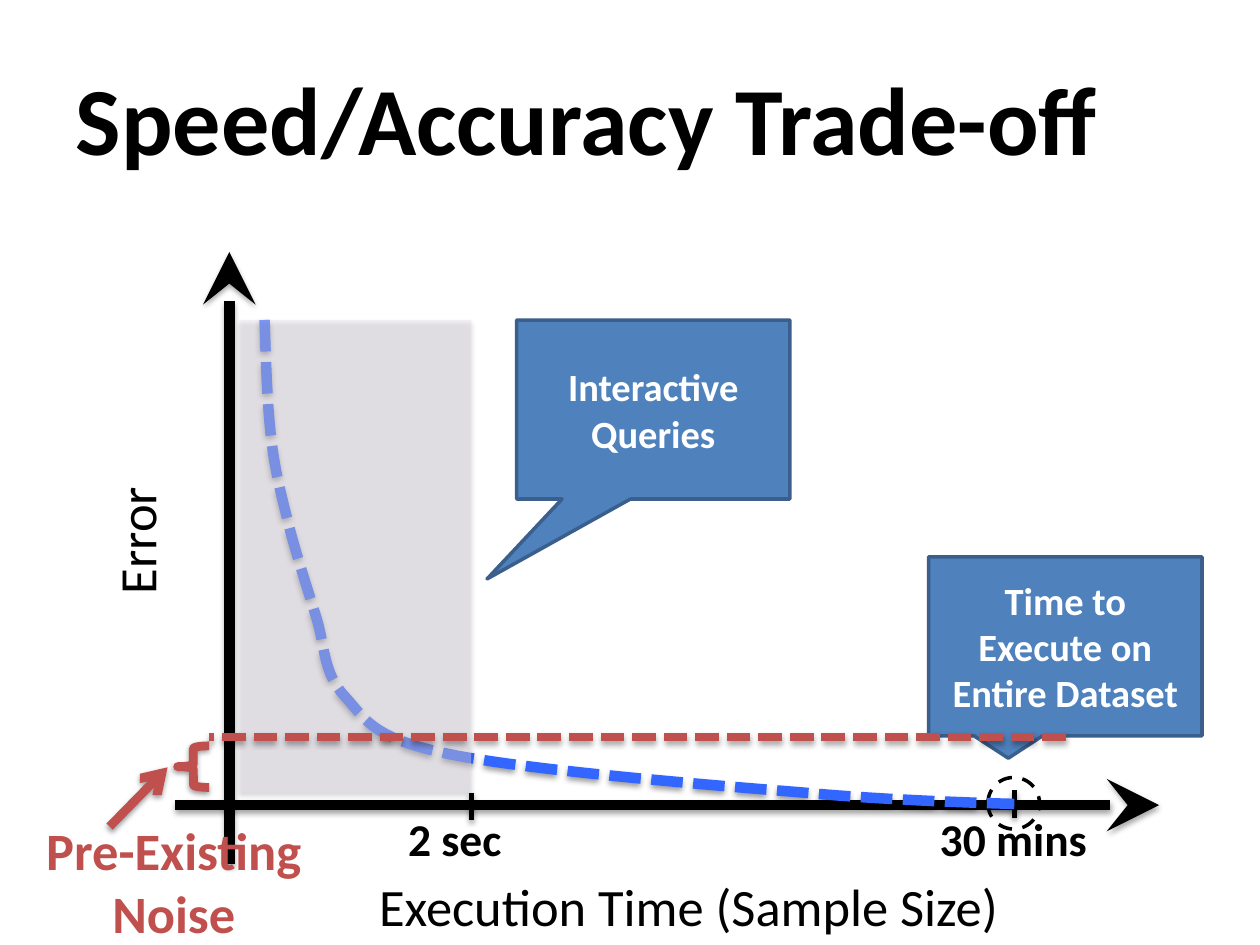
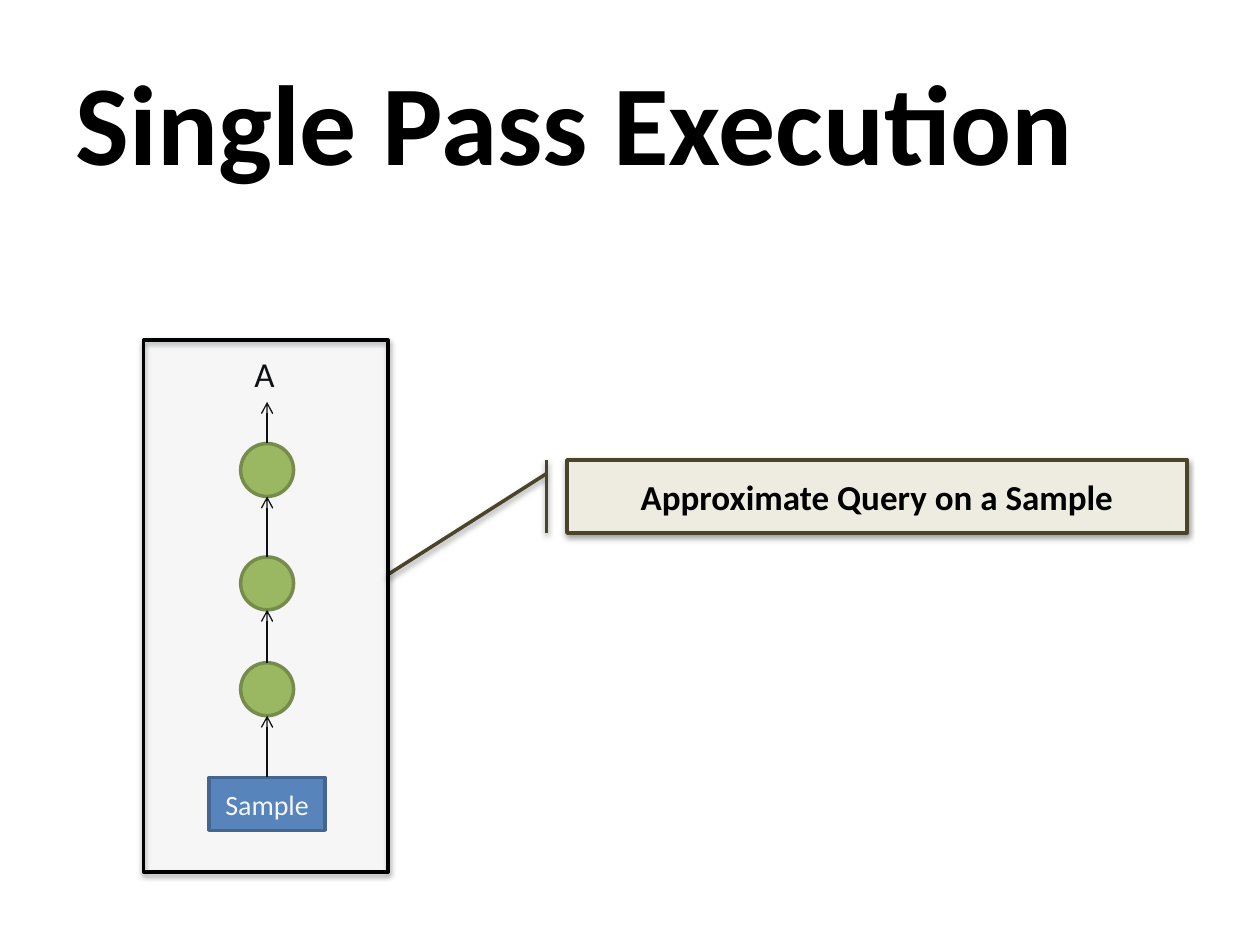
from dataclasses import dataclass
from lxml.etree import SubElement
from pptx import Presentation
from pptx.dml.color import RGBColor
from pptx.enum.dml import MSO_LINE
from pptx.enum.shapes import MSO_CONNECTOR, MSO_SHAPE
from pptx.enum.text import MSO_ANCHOR, MSO_AUTO_SIZE, PP_ALIGN
from pptx.oxml.ns import qn
from pptx.util import Inches, Pt


@dataclass(frozen=True)
class Theme:
    font: str = "Calibri"
    black: str = "000000"
    white: str = "FFFFFF"
    blue: str = "4F81BD"
    blue_edge: str = "3A5F8C"
    curve: str = "3366FF"
    red: str = "C0504D"
    lilac: str = "E6E0EC"
    green: str = "9BBB59"
    green_edge: str = "738A42"
    cream: str = "EEECE1"
    olive: str = "4A452A"
    ice: str = "DCE6F2"
    axis_size: int = 30
    tick_size: int = 26
    callout_size: int = 22
    label_size: int = 20
    node_size: int = 16


T = Theme()
# Shadows: opacity %, blur pt, distance pt
SOFT = (35, 3.1, 1.8)
FIRM = (38, 3.1, 1.6)
# Arrowheads: type, size
AXIS_HEAD = ("stealth", "lg")
ARROW_HEAD = ("arrow", "med")

# Slide 1 content
TRADEOFF_TITLE = ("Speed/Accuracy Trade-off", 55, (0.5, 0.3, 9.33, 1.25))
AXIS_X, AXIS_Y = 1.82, 6.39
AXES = [((1.39, AXIS_Y), (9.2, AXIS_Y)), ((AXIS_X, 6.86), (AXIS_X, 2))]
TICKS = [(3.74, 6.4), (8.05, 6.38)]  # centre of each tick mark
TICK_LENGTH = 0.22
CURVE_START = (2.1, 2.54)
CURVE = [  # two control points and an end point per segment
    ((2.11, 2.86), (2.12, 3.19), (2.15, 3.46)),
    ((2.18, 3.73), (2.23, 3.92), (2.29, 4.16)),
    ((2.35, 4.4), (2.44, 4.67), (2.51, 4.9)),
    ((2.58, 5.12), (2.56, 5.33), (2.73, 5.52)),
    ((2.9, 5.7), (2.93, 5.85), (3.54, 5.98)),
    ((4.15, 6.11), (5.62, 6.23), (6.37, 6.29)),
    ((7.12, 6.36), (8.05, 6.38), (8.05, 6.38)),
]
CALLOUT_W, CALLOUT_H = 2.17, 1.42
CALLOUTS = [
    (7.37, 4.42, ["Time to Execute on", "Entire Dataset"], None),
    (4.1, 2.54, ["Interactive", "Queries"], (-0.608, 0.947)),
]
GRAPH_LABELS = [  # lines, box, size, colour, bold, rotation
    (["Error"], (0.54, 3.97, 1.08, 0.61), T.axis_size, T.black, False, 270),
    (["30 mins"], (7.36, 6.39, 1.38, 0.54), T.tick_size, T.black, True, 0),
    (["2 sec"], (3.14, 6.39, 0.95, 0.54), T.tick_size, T.black, True, 0),
    (["Pre-Existing", "Noise"], (0.25, 6.44, 2.26, 1.06), T.axis_size, T.red, True, 0),
    (["Execution Time (Sample Size)"], (2.91, 6.89, 5.19, 0.61), T.axis_size, T.black, False, 0),
]

# Slide 2 content
SINGLE_TITLE = ("Single Pass Execution", 65, (0.5, 0.33, 9.25, 1.25))
FLOW_X = 2.12
SAMPLE_W, SAMPLE_H, SAMPLE_TOP = 0.92, 0.42, 6.17
NODE_D = 0.42
NODE_TOPS = [5.26, 4.42, 3.52]
ANSWER_BOX = (1.92, 2.75, 0.37, 0.44)


# Helpers
def rgb(value):
    return RGBColor.from_string(value)


def add_effect(sp, shadow=None):
    effects = SubElement(sp._element.spPr, qn("a:effectLst"))
    if shadow:
        alpha, blur, dist = shadow
        outer = SubElement(effects, qn("a:outerShdw"), blurRad=str(Pt(blur)),
                           dist=str(Pt(dist)), dir="5400000", rotWithShape="0")
        color = SubElement(outer, qn("a:srgbClr"), val=T.black)
        SubElement(color, qn("a:alpha"), val=str(alpha * 1000))


def style_line(line, color, width, dash=None):
    line.color.rgb = rgb(color)
    line.width = Pt(width)
    if dash is not None:
        line.dash_style = dash


def style_shape(sp, fill=None, line=None, opacity=None, shadow=None):
    if fill:
        sp.fill.solid()
        sp.fill.fore_color.rgb = rgb(fill)
        if opacity is not None:
            color = next(sp._element.spPr.iter(qn("a:srgbClr")))
            SubElement(color, qn("a:alpha"), val=str(opacity * 1000))
    else:
        sp.fill.background()
    if line:
        style_line(sp.line, *line)
    else:
        sp.line.fill.background()
    add_effect(sp, shadow)


def add_shape(slide, kind, box, adj=None, **style):
    sp = slide.shapes.add_shape(kind, *map(Inches, box))
    for i, value in enumerate(adj or ()):
        sp.adjustments[i] = value
    style_shape(sp, **style)
    return sp


def add_line(slide, start, end, line, head=None, shadow=None):
    sp = slide.shapes.add_connector(MSO_CONNECTOR.STRAIGHT, *map(Inches, (*start, *end)))
    style_line(sp.line, *line)
    if head:
        kind, size = head
        SubElement(sp.line._get_or_add_ln(), qn("a:tailEnd"), type=kind, w=size, len=size)
    add_effect(sp, shadow)
    return sp


def write(tf, lines, size, color, bold=False, align=PP_ALIGN.CENTER):
    for i, text in enumerate(lines):
        p = tf.add_paragraph() if i else tf.paragraphs[0]
        p.alignment = align
        r = p.add_run()
        r.text = text
        r.font.name, r.font.size, r.font.bold = T.font, Pt(size), bold
        r.font.color.rgb = rgb(color)


def write_in_shape(sp, *args, **kwargs):
    sp.text_frame.vertical_anchor = MSO_ANCHOR.MIDDLE
    write(sp.text_frame, *args, **kwargs)


def add_label(slide, lines, box, size, color, bold=False, rotation=0):
    sp = slide.shapes.add_textbox(*map(Inches, box))
    sp.rotation = rotation
    tf = sp.text_frame
    tf.word_wrap = False
    tf.auto_size = MSO_AUTO_SIZE.SHAPE_TO_FIT_TEXT
    align = PP_ALIGN.CENTER if len(lines) > 1 else PP_ALIGN.LEFT
    write(tf, lines, size, color, bold, align)


def add_titled_slide(prs, text, size, box):
    slide = prs.slides.add_slide(prs.slide_layouts[5])
    sp = slide.shapes.title
    sp.left, sp.top, sp.width, sp.height = map(Inches, box)
    sp.text_frame.auto_size = MSO_AUTO_SIZE.NONE
    write_in_shape(sp, [text], size, T.black, bold=True, align=PP_ALIGN.LEFT)
    return slide


def add_curve(slide, start, segments):
    points = [tuple(map(Inches, pt)) for segment in segments for pt in segment]
    builder = slide.shapes.build_freeform(*map(Inches, start))
    builder.add_line_segments(points, close=False)
    sp = builder.convert_to_shape()
    # Turn each run of three line points into one cubic segment
    outline = next(sp._element.spPr.iter(qn("a:path")))
    steps = outline.findall(qn("a:lnTo"))
    for i in range(0, len(steps), 3):
        cubic = SubElement(outline, qn("a:cubicBezTo"))
        for step in steps[i:i + 3]:
            cubic.append(step[0])
            outline.remove(step)
    return sp


# Slide 1
def build_tradeoff(prs):
    slide = add_titled_slide(prs, *TRADEOFF_TITLE)
    add_shape(slide, MSO_SHAPE.OVAL, (7.84, 6.17, 0.41, 0.41),
              line=(T.black, 2, MSO_LINE.DASH))

    # Axes and ticks
    for start, stop in AXES:
        add_line(slide, start, stop, (T.black, 6), AXIS_HEAD, SOFT)
    for x, y in TICKS:
        add_line(slide, (x, y - TICK_LENGTH / 2), (x, y + TICK_LENGTH / 2),
                 (T.black, 3), shadow=SOFT)

    # Error curve, interactive zone and callouts
    curve = add_curve(slide, CURVE_START, CURVE)
    style_shape(curve, line=(T.curve, 6, MSO_LINE.SQUARE_DOT), shadow=FIRM)
    add_shape(slide, MSO_SHAPE.RECTANGLE, (1.9, 2.54, 1.84, 3.75),
              fill=T.lilac, opacity=41, shadow=SOFT)
    for x, y, lines, adj in CALLOUTS:
        sp = add_shape(slide, MSO_SHAPE.RECTANGULAR_CALLOUT, (x, y, CALLOUT_W, CALLOUT_H),
                       adj, fill=T.blue, line=(T.blue_edge, 2))
        write_in_shape(sp, lines, T.callout_size, T.white, bold=True)

    # Noise floor
    add_line(slide, (8.46, 5.85), (1.66, 5.85), (T.red, 4.5, MSO_LINE.SQUARE_DOT), shadow=SOFT)
    add_shape(slide, MSO_SHAPE.LEFT_BRACE, (1.41, 5.92, 0.25, 0.33),
              line=(T.red, 5), shadow=FIRM)
    add_line(slide, (0.87, 6.56), (1.33, 6.09), (T.red, 5), ARROW_HEAD, FIRM)

    for label in GRAPH_LABELS:
        add_label(slide, *label)


# Slide 2
def build_single_pass(prs):
    slide = add_titled_slide(prs, *SINGLE_TITLE)
    sample = add_shape(slide, MSO_SHAPE.RECTANGLE,
                       (FLOW_X - SAMPLE_W / 2, SAMPLE_TOP, SAMPLE_W, SAMPLE_H),
                       fill=T.blue, line=(T.blue_edge, 2))
    write_in_shape(sample, ["Sample"], T.node_size, T.white)

    # Operators, bottom to top, each arrow leaving the top of one step
    steps = [sample]
    for top in NODE_TOPS:
        steps.append(add_shape(slide, MSO_SHAPE.OVAL, (FLOW_X - NODE_D / 2, top, NODE_D, NODE_D),
                               fill=T.green, line=(T.green_edge, 2)))
    tops = [SAMPLE_TOP, *NODE_TOPS]
    stops = [top + NODE_D for top in NODE_TOPS] + [ANSWER_BOX[1] + ANSWER_BOX[3]]
    for step, top, stop in zip(steps, tops, stops):
        arrow = add_line(slide, (FLOW_X, top), (FLOW_X, stop), (T.black, 0.75), ARROW_HEAD)
        arrow.begin_connect(step, 0)
    add_label(slide, ["A"], ANSWER_BOX, T.label_size, T.black)

    # Callout and the panel around the plan
    note = add_shape(slide, MSO_SHAPE.LINE_CALLOUT_1_BORDER_AND_ACCENT_BAR,
                     (4.5, 3.65, 4.92, 0.58), (0.188, -0.033, 1.58, -0.291),
                     fill=T.cream, line=(T.olive, 2), shadow=FIRM)
    write_in_shape(note, ["Approximate Query on a Sample"], T.label_size, T.black, bold=True)
    add_shape(slide, MSO_SHAPE.RECTANGLE, (1.14, 2.7, 1.94, 4.22),
              fill=T.ice, opacity=7, line=(T.black, 2), shadow=FIRM)


def main():
    prs = Presentation()
    prs.slide_width, prs.slide_height = Inches(10), Inches(7.5)
    build_tradeoff(prs)
    build_single_pass(prs)
    prs.save("out.pptx")


if __name__ == "__main__":
    main()
